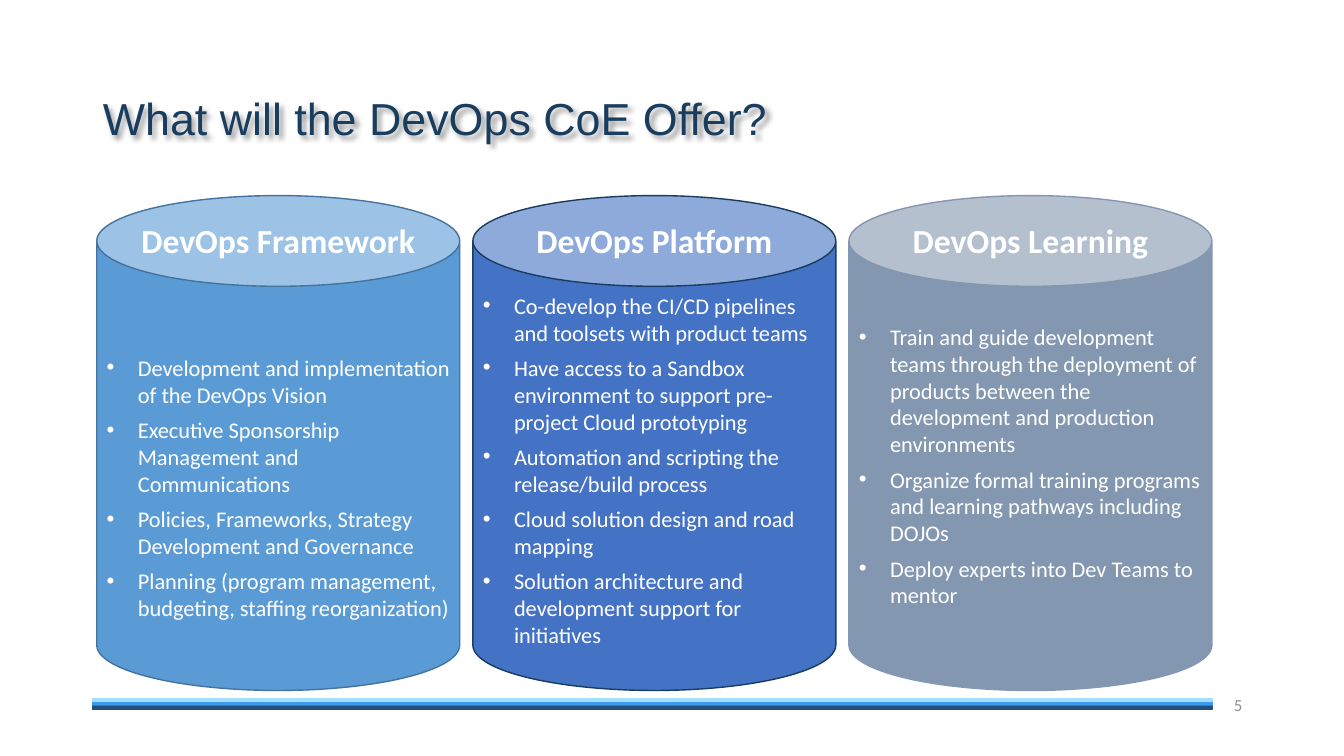
"""Build the slide on what the DevOps CoE offers, as three pillars."""
from lxml import etree
from pptx import Presentation
from pptx.dml.color import RGBColor
from pptx.enum import shapes, text
from pptx.oxml import ns
from pptx.util import Inches, Pt

TITLE = "What will the DevOps CoE Offer?"
PAGE_NUMBER = "5"
PILLARS = [
    ("DevOps Framework", "5B9BD5", "43739E", 0.48, [
        "Development and implementation of the DevOps Vision",
        "Executive Sponsorship Management and Communications",
        "Policies, Frameworks, Strategy Development and Governance",
        "Planning (program management, budgeting, staffing reorganization)",
    ]),
    ("DevOps Platform", "4472C4", "183D5E", 0.13, [
        "Co-develop the CI/CD pipelines and toolsets with product teams",
        "Have access to a Sandbox environment to support pre-project Cloud prototyping",
        "Automation and scripting the release/build process",
        "Cloud solution design and road mapping",
        "Solution architecture and development support for initiatives",
    ]),
    ("DevOps Learning", "8497B0", "8497B0", 0.05, [
        "Train and guide development teams through the deployment of products "
        "between the development and production environments",
        "Organize formal training programs and learning pathways including DOJOs",
        "Deploy experts into Dev Teams to mentor",
    ]),
]
STRIPES = [
    (6.97, 0.04, "327DC0"),
    (6.96, 0.03, "3F9AEE"),
    (6.93, 0.03, "A3E0FF"),
    (7.01, 0.03, "20517D"),
]
PILLAR_LEFT, PILLAR_TOP, PILLAR_WIDTH, PILLAR_HEIGHT = 0.96, 1.94, 3.6, 4.91
PILLAR_STEP = 3.73
INDENT = Inches(0.31)


def color(value):
    return RGBColor.from_string(value)


def box(left, top, width, height):
    return [Inches(length) for length in (left, top, width, height)]


def style(paragraph, size, tint, face="Calibri", bold=False):
    font = paragraph.font
    font.name, font.size, font.bold = face, Pt(size), bold
    font.color.rgb = color(tint)


def add_solid(slide, preset, place, fill, line):
    solid = slide.shapes.add_shape(preset, *box(*place))
    solid.shadow.inherit = False
    solid.fill.solid()
    solid.fill.fore_color.rgb = color(fill)
    solid.line.color.rgb = color(line)
    solid.line.width = Pt(1)
    return solid


def add_label(slide, words, place, size, tint, align, bold=False):
    frame = slide.shapes.add_textbox(*box(*place)).text_frame
    frame.word_wrap = True
    frame.vertical_anchor = text.MSO_ANCHOR.MIDDLE
    label = frame.paragraphs[0]
    label.text = words
    label.alignment = align
    style(label, size, tint, bold=bold)


def add_bullet(paragraph):
    props = paragraph._p.get_or_add_pPr()
    props.set("marL", str(INDENT))
    props.set("indent", str(-INDENT))
    etree.SubElement(props, ns.qn("a:buFont")).set("typeface", "Arial")
    etree.SubElement(props, ns.qn("a:buChar")).set("char", "•")


def add_title(slide):
    title = slide.shapes.title
    title.left, title.top, title.width, title.height = box(0.92, 0.68, 11.5, 1.04)
    title.text_frame.vertical_anchor = text.MSO_ANCHOR.MIDDLE
    heading = title.text_frame.paragraphs[0]
    heading.text = TITLE
    heading.alignment = text.PP_ALIGN.LEFT
    heading.line_spacing = 0.9
    style(heading, 32, "183D5E", "Arial")
    effects = etree.SubElement(title._element.spPr, ns.qn("a:effectLst"))
    shadow = etree.SubElement(effects, ns.qn("a:outerShdw"), blurRad="50800",
                              dist="38100", dir="2700000", algn="tl")
    black = etree.SubElement(shadow, ns.qn("a:srgbClr"), val="000000")
    etree.SubElement(black, ns.qn("a:alpha"), val="40000")


def add_pillar(slide, index, name, fill, line, inset, offers):
    left = PILLAR_LEFT + index * PILLAR_STEP
    place = (left, PILLAR_TOP, PILLAR_WIDTH, PILLAR_HEIGHT)
    pillar = add_solid(slide, shapes.MSO_SHAPE.CAN, place, fill, line)
    frame = pillar.text_frame
    frame.word_wrap = True
    frame.vertical_anchor = text.MSO_ANCHOR.MIDDLE
    frame.margin_top = Inches(inset)
    frame.text = "\n".join(offers)
    for offer in frame.paragraphs:
        offer.alignment = text.PP_ALIGN.LEFT
        offer.space_after = Pt(6)
        style(offer, 16, "FFFFFF")
        add_bullet(offer)
    add_label(slide, name, (left, 2.13, PILLAR_WIDTH, 0.5), 24, "FFFFFF",
              text.PP_ALIGN.CENTER, bold=True)


def main():
    deck = Presentation()
    deck.slide_width, deck.slide_height = Inches(13.33), Inches(7.5)
    slide = deck.slides.add_slide(deck.slide_layouts.get_by_name("Title Only"))
    for top, height, tint in STRIPES:
        add_solid(slide, shapes.MSO_SHAPE.RECTANGLE, (0.92, top, 11.1, height), tint, tint)
    add_title(slide)
    add_label(slide, PAGE_NUMBER, (9.42, 6.79, 3, 0.4), 12, "8C8C8C", text.PP_ALIGN.RIGHT)
    for index, pillar in enumerate(PILLARS):
        add_pillar(slide, index, *pillar)
    deck.save("out.pptx")


if __name__ == "__main__":
    main()
